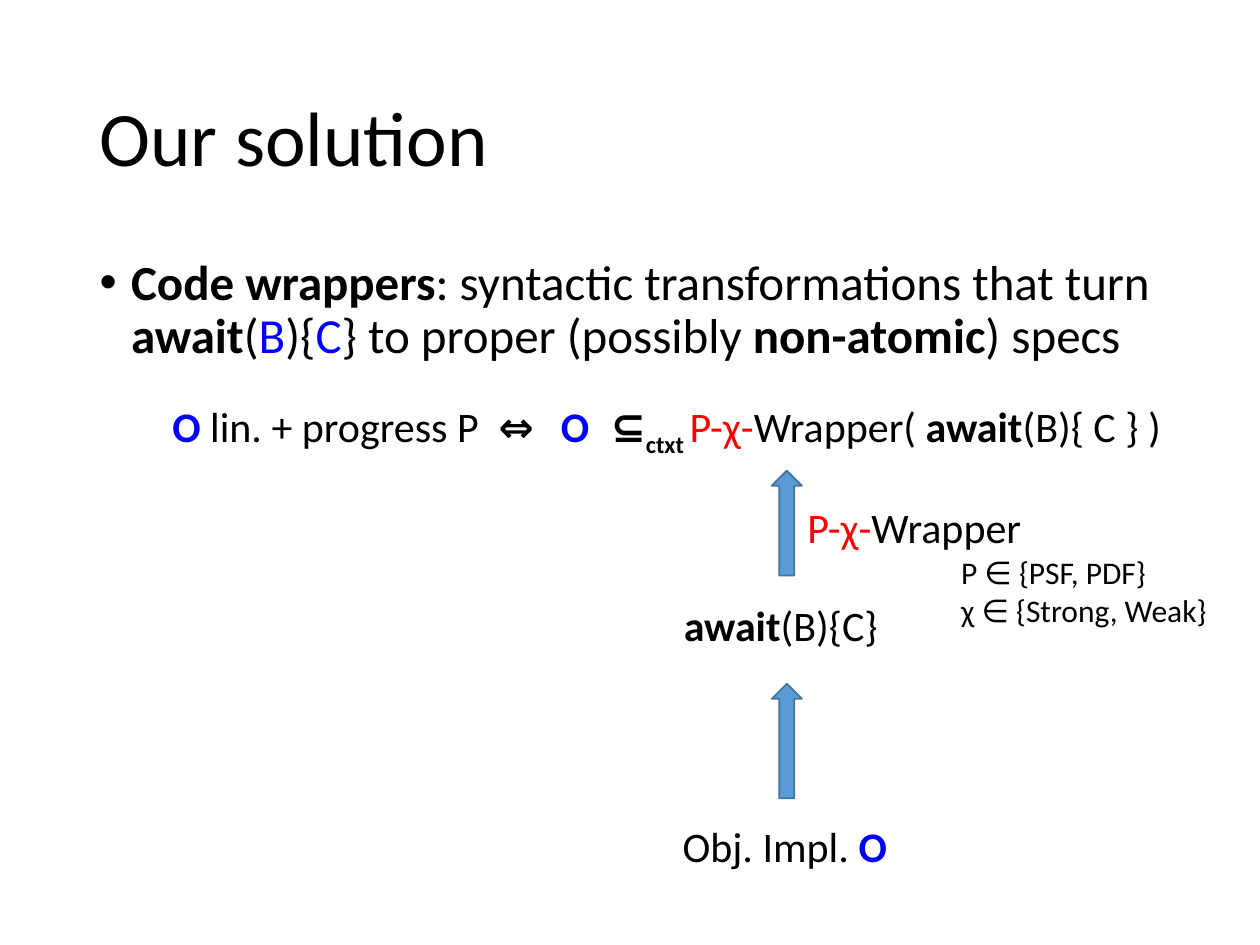
from dataclasses import dataclass

from lxml import etree
from pptx import Presentation
from pptx.dml.color import RGBColor
from pptx.enum import shapes, text
from pptx.oxml import ns
from pptx.util import Pt


@dataclass(frozen=True)
class Theme:
    font: str = "Calibri"
    ink: str = "000000"
    blue: str = "0000FF"
    red: str = "FF0000"
    fill: str = "5B9BD5"
    edge: str = "43739E"
    title: int = 44
    body: int = 28
    label: int = 24
    note: int = 18


T = Theme()


def rgb(code):
    return RGBColor.from_string(code)


def place(shape, box):
    shape.left, shape.top, shape.width, shape.height = map(Pt, box)


def write(para, size, runs):
    """Fill a paragraph; each run is (text, marks), with marks b, blue, red, sub."""
    para.font.name = T.font
    para.font.size = Pt(size)
    para.font.color.rgb = rgb(T.ink)
    for words, marks in runs:
        run = para.add_run()
        run.text = words
        marks = marks.split()
        font = run.font
        font.name, font.size = T.font, Pt(size)
        font.bold = "b" in marks
        tone = T.blue if "blue" in marks else T.red if "red" in marks else T.ink
        font.color.rgb = rgb(tone)
        if "sub" in marks:
            run._r.get_or_add_rPr().set("baseline", "-25000")


def label(parent, box, lines, size=T.label, align=text.PP_ALIGN.LEFT, tabs=()):
    shape = parent.add_textbox(*map(Pt, box))
    frame = shape.text_frame
    frame.word_wrap = True
    for i, runs in enumerate(lines):
        para = frame.add_paragraph() if i else frame.paragraphs[0]
        para.alignment = align
        if tabs:
            stops = etree.SubElement(para._p.get_or_add_pPr(), ns.qn("a:tabLst"))
            for stop in tabs:
                etree.SubElement(stops, ns.qn("a:tab"), pos=str(Pt(stop)), algn="l")
        write(para, size, runs)


def arrow(parent, mid, top, length, width=17.3):
    """Upward arrow centred on mid: a right arrow turned a quarter left."""
    box = (mid - length / 2, top + (length - width) / 2, length, width)
    shape = parent.add_shape(shapes.MSO_SHAPE.RIGHT_ARROW, *map(Pt, box))
    shape.rotation = 270
    shape.shadow.inherit = False
    shape.fill.solid()
    shape.fill.fore_color.rgb = rgb(T.fill)
    shape.line.color.rgb = rgb(T.edge)
    shape.line.width = Pt(1)


def heading(slide, box):
    shape = slide.shapes.title
    place(shape, box)
    frame = shape.text_frame
    frame.auto_size = text.MSO_AUTO_SIZE.NONE
    frame.vertical_anchor = text.MSO_ANCHOR.MIDDLE
    para = frame.paragraphs[0]
    para.alignment = text.PP_ALIGN.LEFT
    para.line_spacing = 0.9
    write(para, T.title, [("Our solution", "")])


def claim(slide, box):
    shape = slide.placeholders[1]
    place(shape, box)
    frame = shape.text_frame
    frame.auto_size = text.MSO_AUTO_SIZE.NONE
    para = frame.paragraphs[0]
    para.line_spacing = 0.9
    para.space_before = Pt(0)
    props = para._p.get_or_add_pPr()
    props.set("marL", str(Pt(18)))
    props.set("indent", str(Pt(-18)))
    etree.SubElement(props, ns.qn("a:buFont"), typeface="Arial")
    etree.SubElement(props, ns.qn("a:buChar"), char="•")
    write(para, T.body, [
        ("Code wrappers", "b"), (": syntactic transformations that turn ", ""),
        ("await", "b"), ("(", ""), ("B", "blue"), ("){", ""), ("C", "blue"),
        ("} to proper (possibly ", ""), ("non-atomic", "b"), (") specs", ""),
    ])


def theorem(slide, box):
    label(slide.shapes, box, [[
        ("O", "b blue"), (" lin. + progress P\t", ""), ("⇔\t", "b"),
        ("O\t", "b blue"), ("⊆", "b"), ("ctxt ", "b sub"), ("P-χ-", "red"),
        ("Wrapper( ", ""), ("await", "b"), ("(B){ C } )", ""),
    ]], tabs=(186.5, 222, 250.5))


def steps(slide, box):
    """Chain from the object up to the wrapped specification."""
    x, y = box
    mid = x + 88.2
    label(slide.shapes, (x + 21.6, y + 182.2, 132.5, 36),
          [[("Obj. Impl. ", ""), ("O", "b blue")]])
    label(slide.shapes, (x, y + 56.2, 175, 36),
          [[("await", "b"), ("(B){C} ", "")]], align=text.PP_ALIGN.CENTER)
    arrow(slide.shapes, mid, y + 107.7, 65.5)
    group = slide.shapes.add_group_shape().shapes
    arrow(group, mid, y - 14, 59.8)
    label(group, (x + 92.9, y, 145.4, 36), [[("P-χ-", "red"), ("Wrapper", "")]])
    label(slide.shapes, (x + 180.7, y + 29.5, 162, 51),
          [[("P ∈ {PSF, PDF}", "")], [("χ ∈ {Strong, Weak}", "")]], T.note)


def main():
    deck = Presentation()
    deck.slide_width, deck.slide_height = Pt(720), Pt(540)
    slide = deck.slides.add_slide(deck.slide_layouts[1])
    heading(slide, (49.7, 28.8, 620.6, 104.4))
    claim(slide, (49.7, 144, 620.6, 342.7))
    theorem(slide, (91.4, 225.4, 585.4, 36))
    steps(slide, (361.4, 283))
    deck.save("out.pptx")


if __name__ == "__main__":
    main()
